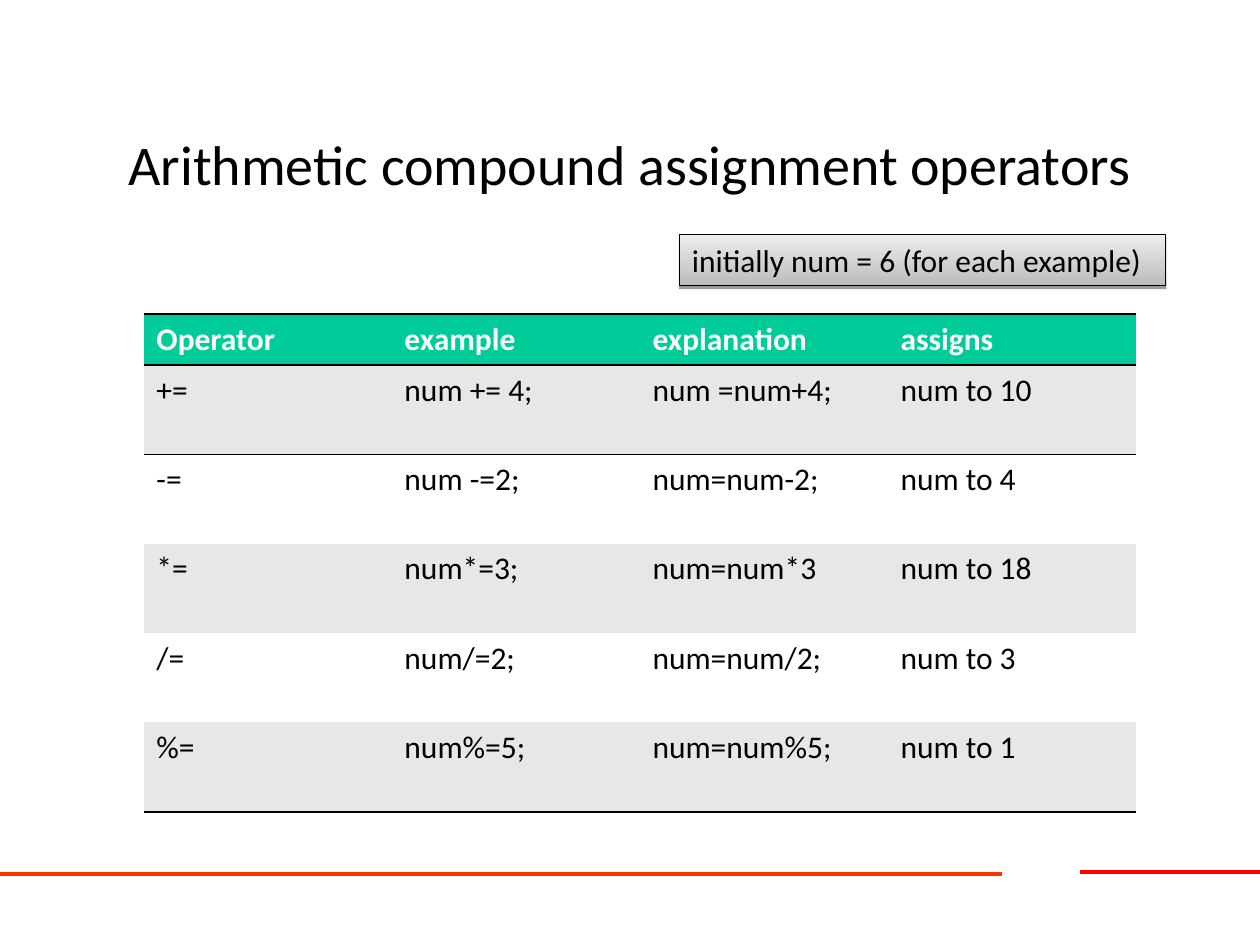
from pptx import Presentation
from pptx.dml.color import RGBColor
from pptx.enum.shapes import MSO_CONNECTOR as Connector, MSO_SHAPE as Shape
from pptx.enum.text import MSO_ANCHOR as Anchor, PP_ALIGN as Align
from pptx.oxml import parse_xml
from pptx.oxml.ns import nsdecls
from pptx.util import Pt

TITLE = "Arithmetic compound assignment operators"
NOTE = "initially num = 6 (for each example)"
ROWS = [
    ("Operator", "example", "explanation", "assigns"),
    ("+=", "num += 4;", "num =num+4;", "num to 10"),
    ("-=", "num -=2;", "num=num-2;", "num to 4"),
    ("*=", "num*=3;", "num=num*3", "num to 18"),
    ("/=", "num/=2;", "num=num/2;", "num to 3"),
    ("%=", "num%=5;", "num=num%5;", "num to 1"),
]
FOOTER_LINES = [  # left, right, y, colour
    (617.04, 720, 498.24, "FF0000"),
    (0, 572.4, 499.68, "FF3300"),
]
TITLE_AREA = (54, 48.24, 612, 90)
NOTE_AREA = (388.3, 134.2, 277.92, 29.1)
TABLE_LEFT, TABLE_TOP, COLUMN_WIDTH = 82.2, 179.3, 141.75
HEADER_HEIGHT, ROW_HEIGHT = 29.2, 51.1
NO_GRID_STYLE = "{2D5ABB26-0587-4C30-8999-92F81FD0307C}"


def color(value):
    return RGBColor.from_string(value)


def points(values):
    return [Pt(value) for value in values]


def write(frame, text, size, ink="000000", bold=False, align=Align.LEFT):
    para = frame.paragraphs[0]
    para.alignment = align
    span = para.add_run()
    span.text = text
    font_values = {"name": "Calibri", "size": Pt(size), "bold": bold}
    for name, value in font_values.items():
        setattr(span.font, name, value)
    span.font.color.rgb = color(ink)


def add_footer_line(page, left, right, y, ink):
    line = page.shapes.add_connector(Connector.STRAIGHT, *points((left, y, right, y)))
    line.line.color.rgb = color(ink)
    line.line.width = Pt(2.25)
    line._element.spPr.append(parse_xml(f"<a:effectLst {nsdecls('a')}/>"))


def add_title(page):
    frame = page.shapes.add_textbox(*points(TITLE_AREA)).text_frame
    frame.word_wrap = True
    frame.vertical_anchor = Anchor.MIDDLE
    write(frame, TITLE, 32, align=Align.CENTER)


def add_border(cell, side):
    cell._tc.get_or_add_tcPr().insert(0, parse_xml(
        f'<a:ln{side} {nsdecls("a")} w="{Pt(0.96)}"><a:solidFill>'
        f'<a:srgbClr val="000000"/></a:solidFill></a:ln{side}>'))


def add_operator_table(page):
    heights = [HEADER_HEIGHT] + [ROW_HEIGHT] * (len(ROWS) - 1)
    columns = len(ROWS[0])
    area = (TABLE_LEFT, TABLE_TOP, COLUMN_WIDTH * columns, sum(heights))
    table = page.shapes.add_table(len(ROWS), columns, *points(area)).table
    table._tbl.tblPr[0].text = NO_GRID_STYLE
    for column in table.columns:
        column.width = Pt(COLUMN_WIDTH)
    for r, (texts, height) in enumerate(zip(ROWS, heights)):
        table.rows[r].height = Pt(height)
        header = r == 0
        fill = "00CC99" if header else "E7E7E7" if r % 2 else "FFFFFF"
        for c, text in enumerate(texts):
            cell = table.cell(r, c)
            write(cell.text_frame, text, 18, "FFFFFF" if header else "000000", header)
            cell.fill.solid()
            cell.fill.fore_color.rgb = color(fill)
            if header or r == len(ROWS) - 1:
                add_border(cell, "B")
            if r < 2:
                add_border(cell, "T")


def add_note(page):
    box = page.shapes.add_shape(Shape.RECTANGLE, *points(NOTE_AREA))
    box.fill.gradient()
    box.fill.gradient_angle = 90
    for stop, tint in zip(box.fill.gradient_stops, ("BCBCBC", "EDEDED")):
        stop.color.rgb = color(tint)
    box.line.color.rgb = color("000000")
    box.line.width = Pt(0.75)
    box._element.spPr.append(parse_xml(
        f'<a:effectLst {nsdecls("a")}><a:outerShdw blurRad="0" dist="{Pt(1.6)}" '
        'dir="5400000" rotWithShape="0"><a:srgbClr val="000000">'
        '<a:alpha val="38000"/></a:srgbClr></a:outerShdw></a:effectLst>'))
    box.text_frame.word_wrap = True
    box.text_frame.vertical_anchor = Anchor.TOP
    write(box.text_frame, NOTE, 18)


def main():
    deck = Presentation()
    deck.slide_width, deck.slide_height = Pt(720), Pt(540)
    page = deck.slides.add_slide(deck.slide_layouts[6])
    for line in FOOTER_LINES:
        add_footer_line(page, *line)
    add_title(page)
    add_operator_table(page)
    add_note(page)
    deck.save("out.pptx")


if __name__ == "__main__":
    main()
